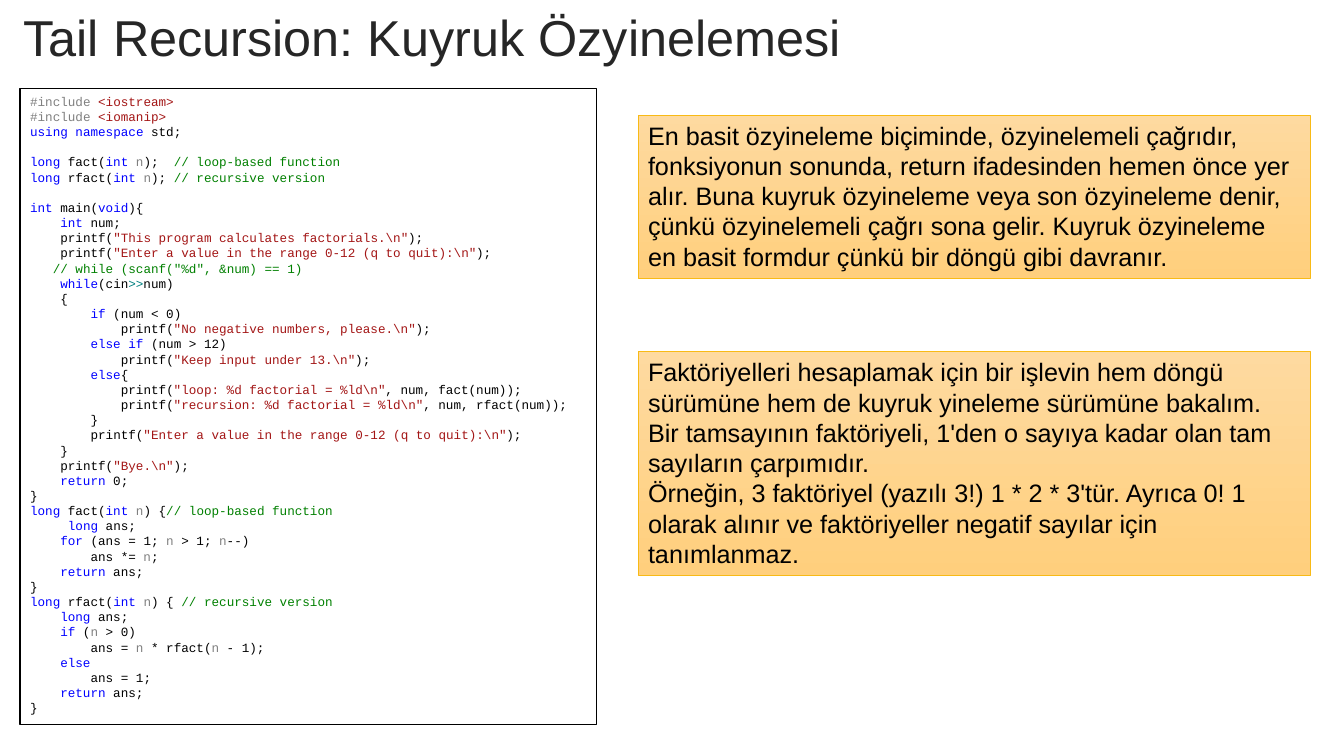
import itertools

import pptx
import pptx.dml.color
import pptx.enum.shapes
import pptx.enum.text
import pptx.util

Pt = pptx.util.Pt

TITLE = "Tail Recursion: Kuyruk Özyinelemesi"
DEFINITION = [
    "En basit özyineleme biçiminde, özyinelemeli çağrıdır, fonksiyonun sonunda, "
    "return ifadesinden hemen önce yer alır. Buna kuyruk özyineleme veya son "
    "özyineleme denir, çünkü özyinelemeli çağrı sona gelir. Kuyruk özyineleme "
    "en basit formdur çünkü bir döngü gibi davranır.",
]
FACTORIAL = [
    "Faktöriyelleri hesaplamak için bir işlevin hem döngü sürümüne hem de "
    "kuyruk yineleme sürümüne bakalım.",
    "Bir tamsayının faktöriyeli, 1'den o sayıya kadar olan tam sayıların çarpımıdır.",
    "Örneğin, 3 faktöriyel (yazılı 3!) 1 * 2 * 3'tür. Ayrıca 0! 1 olarak alınır "
    "ve faktöriyeller negatif sayılar için tanımlanmaz.",
]
DECLARATIONS = r'''#include <iostream>
#include <iomanip>
using namespace std;

long fact(int n);  // loop-based function
long rfact(int n); // recursive version
'''
MAIN_START = r'''int main(void){
    int num;
    printf("This program calculates factorials.\n");
    printf("Enter a value in the range 0-12 (q to quit):\n");
   // while (scanf("%d", &num) == 1)'''
MAIN_LOOP = r'''    while(cin>>num)
    {
        if (num < 0)
            printf("No negative numbers, please.\n");
        else if (num > 12)
            printf("Keep input under 13.\n");
        else{
            printf("loop: %d factorial = %ld\n", num, fact(num));
            printf("recursion: %d factorial = %ld\n", num, rfact(num));
        }
        printf("Enter a value in the range 0-12 (q to quit):\n");
    }
    printf("Bye.\n");
    return 0;
}'''
FUNCTIONS = r'''long fact(int n) {// loop-based function
     long ans;
    for (ans = 1; n > 1; n--)
        ans *= n;
    return ans;
}
long rfact(int n) { // recursive version
    long ans;
    if (n > 0)
        ans = n * rfact(n - 1);
    else
        ans = 1;
    return ans;
}'''

BLACK, GREY, RED, GREEN = "000000", "808080", "A31515", "008000"
KEYWORDS = "using namespace long int void while if else return for".split()
TOKEN_COLORS = {**dict.fromkeys(KEYWORDS, "0000FF"), "n": GREY, ">>": "008080"}


def rgb(color):
    return pptx.dml.color.RGBColor.from_string(color)


def color_tokens(line):
    if line.startswith("#"):
        directive, space, header = line.partition(" ")
        return [(directive + space, GREY), (header, RED)]
    code, slashes, comment = line.partition("//")
    tokens = []
    for i, part in enumerate(code.split('"')):
        if i % 2:
            tokens.append((f'"{part}"', RED))
            continue
        for _, chars in itertools.groupby(part, str.isalnum):
            token = "".join(chars)
            tokens.append((token, TOKEN_COLORS.get(token, BLACK)))
    if slashes:
        tokens.append((slashes + comment, GREEN))
    merged = itertools.groupby(tokens, lambda token: token[1])
    return [("".join(text for text, _ in group), color) for color, group in merged]


class Deck:
    """Build slides in one style, with all lengths in points."""

    def __init__(self, width, height):
        self.prs = pptx.Presentation()
        self.prs.slide_width, self.prs.slide_height = Pt(width), Pt(height)
        self.font, self.code_font = "Arial", "Courier New"

    def add_slide(self, title, left, top, width, height):
        self.s = self.prs.slides.add_slide(self.prs.slide_layouts[5])
        sp = self.s.shapes.title
        sp.left, sp.top, sp.width, sp.height = map(Pt, (left, top, width, height))
        tf = sp.text_frame
        tf.text = title
        tf.auto_size = pptx.enum.text.MSO_AUTO_SIZE.NONE
        tf.vertical_anchor = pptx.enum.text.MSO_ANCHOR.MIDDLE
        p = tf.paragraphs[0]
        p.alignment = pptx.enum.text.PP_ALIGN.CENTER
        p.line_spacing = 0.9
        self.style(p, self.font, 36, "262626")

    def style(self, p, name, size, color=None):
        p.font.name, p.font.size = name, Pt(size)
        if color:
            p.font.color.rgb = rgb(color)

    def box(self, left, top, width, height, line, line_width):
        sp = self.s.shapes.add_shape(
            pptx.enum.shapes.MSO_SHAPE.RECTANGLE, *map(Pt, (left, top, width, height)))
        sp.shadow.inherit = False
        sp.line.color.rgb, sp.line.width = rgb(line), Pt(line_width)
        tf = sp.text_frame
        tf.word_wrap = True
        tf.auto_size = pptx.enum.text.MSO_AUTO_SIZE.SHAPE_TO_FIT_TEXT
        tf.vertical_anchor = pptx.enum.text.MSO_ANCHOR.TOP
        return sp

    def paragraphs(self, sp, count):
        tf = sp.text_frame
        for i in range(count):
            p = tf.add_paragraph() if i else tf.paragraphs[0]
            p.alignment = pptx.enum.text.PP_ALIGN.LEFT
            yield p

    def note(self, texts, left, top, width, height):
        sp = self.box(left, top, width, height, "F8BA16", 0.5)
        sp.fill.gradient()
        sp.fill.gradient_angle = 270
        stops = zip(sp.fill.gradient_stops, ("FEDAA0", "FFCF7D"))
        for position, (stop, color) in enumerate(stops):
            stop.color.rgb, stop.position = rgb(color), position
        for p, text in zip(self.paragraphs(sp, len(texts)), texts):
            p.text = text
            self.style(p, self.font, 18, BLACK)

    def code(self, blocks, left, top, width, height):
        sp = self.box(left, top, width, height, BLACK, 1)
        sp.fill.solid()
        sp.fill.fore_color.rgb = rgb("FFFFFF")
        lines = "\n".join(blocks).split("\n")
        for p, line in zip(self.paragraphs(sp, len(lines)), lines):
            self.style(p, self.code_font, 9)
            for text, color in color_tokens(line):
                r = p.add_run()
                r.text = text
                r.font.color.rgb = rgb(color)


def main():
    deck = Deck(960, 540)
    deck.add_slide(TITLE, -146.9, 5.8, 911.5, 45.4)
    deck.note(DEFINITION, 455.8, 82.1, 480.2, 116.6)
    deck.note(FACTORIAL, 455.8, 251.3, 480.2, 159.8)
    deck.code([DECLARATIONS, MAIN_START, MAIN_LOOP, FUNCTIONS],
              14.4, 63.4, 411.8, 454.3)
    deck.prs.save("out.pptx")


if __name__ == "__main__":
    main()
